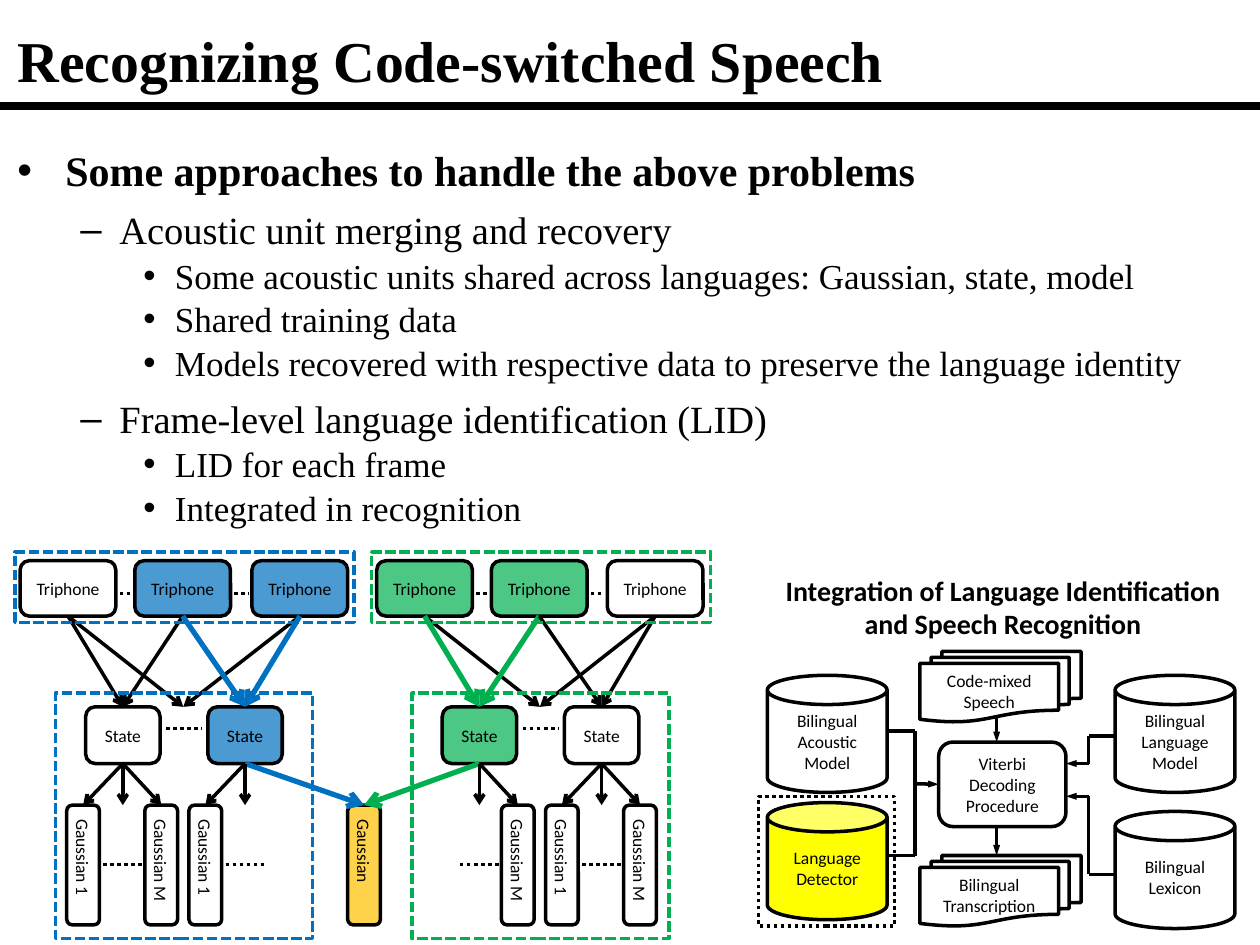
from lxml import etree
from pptx import Presentation
from pptx.dml.color import RGBColor
from pptx.enum.dml import MSO_LINE
from pptx.enum.shapes import MSO_CONNECTOR, MSO_SHAPE as Preset
from pptx.enum.text import MSO_ANCHOR as Anchor, PP_ALIGN as Align
from pptx.oxml.ns import qn
from pptx.util import Inches, Pt

BLACK, WHITE, YELLOW, AMBER = "000000", "FFFFFF", "FFFF00", "FFC000"
BLUE, GREEN = "0070C0", "00B050"
SERIF, SANS = "Times New Roman", "Calibri"
DOTS, DASHES = MSO_LINE.ROUND_DOT, MSO_LINE.SQUARE_DOT
TOP, LEFT, BOTTOM = 0, 1, 2
TRIPHONE_TOP, STATE_TOP, STATE_BOTTOM, GAUSSIAN_TOP = 4.45, 5.61, 6.05, 6.39

# Per level: left margin, hanging indent, bullet, size, line spacing
LEVELS = [
    (0.38, 0.38, "•", 24, 1.2),
    (0.81, 0.31, "–", 22, 1.2),
    (1.25, 0.25, "•", 20, 1.0),
]
OUTLINE = [
    (0, "Some approaches to handle the above problems"),
    (1, "Acoustic unit merging and recovery"),
    (2, "Some acoustic units shared across languages: Gaussian, state, model"),
    (2, "Shared training data"),
    (2, "Models recovered with respective data to preserve the language identity"),
    (1, "Frame-level language identification (LID)"),
    (2, "LID for each frame"),
    (2, "Integrated in recognition"),
]


def color(value):
    return RGBColor.from_string(value)


def style_font(font, name, size, bold=False):
    font.name, font.size, font.bold = name, Pt(size), bold
    font.color.rgb = color(BLACK)


def style_line(line, value, width, dash=None):
    line.color.rgb = color(value)
    line.width = Pt(width)
    if dash is not None:
        line.dash_style = dash


def set_margins(frame, margin):
    frame.margin_left = frame.margin_right = Inches(margin)
    frame.margin_top = frame.margin_bottom = Inches(margin)


def center_text(frame, text, size, bold=False):
    frame.text = text
    frame.word_wrap = True
    frame.vertical_anchor = Anchor.MIDDLE
    for paragraph in frame.paragraphs:
        paragraph.alignment = Align.CENTER
        for run in paragraph.runs:
            style_font(run.font, SANS, size, bold)


def add_box(slide, preset, box, text="", fill=None, alpha=None,
            line=BLACK, dash=None):
    shape = slide.shapes.add_shape(preset, *map(Inches, box))
    shape.shadow.inherit = False
    style_line(shape.line, line, 2, dash)
    if fill:
        shape.fill.solid()
        shape.fill.fore_color.rgb = color(fill)
    else:
        shape.fill.background()
    if fill and alpha:
        node = shape.fill._xPr.find(".//" + qn("a:srgbClr"))
        etree.SubElement(node, qn("a:alpha")).set("val", str(alpha * 1000))
    if text:
        set_margins(shape.text_frame, 0)
        center_text(shape.text_frame, text, 10)
    return shape


def add_line(slide, start, end, value=BLACK, width=2, dash=None, head=None,
             begin_at=None, end_at=None):
    """Draw a line; begin_at and end_at are (shape, side) pairs to join."""
    line = slide.shapes.add_connector(
        MSO_CONNECTOR.STRAIGHT, *map(Inches, (*start, *end)))
    style_line(line.line, value, width, dash)
    if head:
        tail = etree.SubElement(line.line._get_or_add_ln(), qn("a:tailEnd"))
        tail.set("type", head)
        tail.set("w", "sm" if head == "triangle" else "med")
    etree.SubElement(line._element.spPr, qn("a:effectLst"))
    if begin_at:
        line.begin_connect(*begin_at)
    if end_at:
        line.end_connect(*end_at)


def join(slide, upper, lower, value=BLACK, width=2):
    add_line(slide, (0, 0), (1, 1), value, width, head="arrow",
             begin_at=(upper, BOTTOM), end_at=(lower, TOP))


def add_title(slide):
    title = slide.shapes.title
    title.left, title.top, title.width, title.height = map(
        Inches, (0.04, 0.13, 9, 0.69))
    frame = title.text_frame
    frame.text = "Recognizing Code-switched Speech"
    frame.vertical_anchor = Anchor.MIDDLE
    paragraph = frame.paragraphs[0]
    paragraph.alignment = Align.LEFT
    style_font(paragraph.runs[0].font, SERIF, 33, True)
    add_line(slide, (0, 0.84), (10, 0.84), width=4.5)


def add_outline(slide):
    box = slide.shapes.add_textbox(*map(Inches, (0.04, 0.99, 9.84, 3.3)))
    frame = box.text_frame
    frame.word_wrap = True
    frame.margin_top = Inches(0.08)
    for index, (level, text) in enumerate(OUTLINE):
        paragraph = frame.add_paragraph() if index else frame.paragraphs[0]
        margin, hanging, bullet, size, spacing = LEVELS[level]
        paragraph.text = text
        paragraph.level = level
        paragraph.line_spacing = spacing
        paragraph.space_before = Pt(1 if index else 0)
        properties = paragraph._p.get_or_add_pPr()
        properties.set("marL", str(Inches(margin)))
        properties.set("indent", str(-Inches(hanging)))
        etree.SubElement(properties, qn("a:buFont")).set("typeface", "Arial")
        etree.SubElement(properties, qn("a:buChar")).set("char", bullet)
        style_font(paragraph.runs[0].font, SERIF, size, level == 0)


def add_gaussian(slide, left, text, fill=None):
    shape = add_box(slide, Preset.ROUNDED_RECTANGLE,
                    (left, GAUSSIAN_TOP, 0.26, 0.95), fill=fill, alpha=70)
    center_text(shape.text_frame, text, 10)
    shape.text_frame._txBody.bodyPr.set("vert", "eaVert")
    return shape


def add_language(slide, triphone_lefts, state_lefts, shared, value, gaussian):
    """Draw one language's units; shared is the index of its merged state."""
    def fill_if(condition):
        return value if condition else None

    # Units
    triphones = [
        add_box(slide, Preset.ROUNDED_RECTANGLE, (left, TRIPHONE_TOP, 0.76, 0.44),
                "Triphone", fill_if(index in (shared, shared + 1)), 70)
        for index, left in enumerate(triphone_lefts)]
    states = [
        add_box(slide, Preset.ROUNDED_RECTANGLE, (left, STATE_TOP, 0.59, 0.45),
                "State", fill_if(index == shared), 70)
        for index, left in enumerate(state_lefts)]

    # Dots between neighbours
    for left, following in zip(triphone_lefts, triphone_lefts[1:]):
        add_line(slide, (left + 0.79, 4.71), (following - 0.02, 4.71), dash=DOTS)
    gap = state_lefts[0] + 0.64
    add_line(slide, (gap, 5.78), (gap + 0.28, 5.78), dash=DOTS)

    # Triphones to the states between the two shown
    middle = sum(state_lefts) / 2 + 0.29
    for index in (0, 2):
        add_line(slide, (triphone_lefts[index] + 0.38, 4.88), (middle, STATE_TOP),
                 head="arrow", begin_at=(triphones[index], BOTTOM))

    for index, (state, left) in enumerate(zip(states, state_lefts)):
        # Triphones to this state
        style = (value, 3) if index == shared else (BLACK, 2)
        for triphone in triphones[index:index + 2]:
            join(slide, triphone, state, *style)

        # This state to its Gaussians; the merged state has only the outer-language one
        members = [(-0.15, "Gaussian 1"), (0.47, "Gaussian M")]
        if index == shared:
            members = [members[1 - shared]]
            join(slide, state, gaussian, value, 3)
        for offset, text in members:
            join(slide, state, add_gaussian(slide, left + offset, text))
        center = left + 0.295
        add_line(slide, (center, STATE_BOTTOM), (center, GAUSSIAN_TOP),
                 head="arrow", begin_at=(state, BOTTOM))
        add_line(slide, (left + 0.14, 6.86), (left + 0.45, 6.86), dash=DOTS)

    # Frames
    for box in ((triphone_lefts[0] - 0.04, 4.38, 2.69, 0.56),
                (state_lefts[0] - 0.24, 5.5, 2.04, 1.95)):
        add_box(slide, Preset.RECTANGLE, box, line=value, dash=DASHES)


def add_integration(slide):
    heading = slide.shapes.add_textbox(*map(Inches, (6.1, 4.54, 3.72, 0.55)))
    center_text(heading.text_frame, "Integration of Language Identification "
                "and Speech Recognition", 16, True)

    # Decoder, knowledge sources, input and output
    decoder = add_box(slide, Preset.ROUNDED_RECTANGLE, (7.45, 5.89, 1.01, 0.67),
                      "Viterbi\nDecoding\nProcedure", WHITE)
    for left, top, text, fill in (
            (8.85, 5.36, "Bilingual\nLanguage\nModel", WHITE),
            (8.85, 6.44, "Bilingual\nLexicon", WHITE),
            (6.09, 5.36, "Bilingual\nAcoustic\nModel", WHITE),
            (6.09, 6.37, "Language\nDetector", YELLOW)):
        add_box(slide, Preset.CAN, (left, top, 0.95, 0.93), text, fill)
    for top, text in ((5.17, "Code-mixed Speech"),
                      (6.79, "Bilingual\nTranscription")):
        add_box(slide, Preset.FLOWCHART_MULTIDOCUMENT, (7.3, top, 1.28, 0.56),
                text, WHITE)

    # Arrows at the decoder
    for start, end in (((7.91, 5.7), (7.91, 5.89)), ((7.91, 6.55), (7.91, 6.79)),
                       ((8.64, 6.06), (8.46, 6.06)), ((8.64, 6.32), (8.46, 6.32))):
        add_line(slide, start, end, head="triangle")
    add_line(slide, (7.26, 6.22), (7.45, 6.22), head="triangle",
             end_at=(decoder, LEFT))

    # Elbows from the sources
    for start, end in (((7.26, 5.8), (7.26, 6.79)), ((7.26, 5.8), (7.04, 5.8)),
                       ((7.26, 6.79), (7.04, 6.79)), ((8.85, 5.84), (8.64, 5.84)),
                       ((8.85, 6.94), (8.64, 6.94)), ((8.64, 5.84), (8.64, 6.06)),
                       ((8.64, 6.32), (8.64, 6.94))):
        add_line(slide, start, end)
    add_box(slide, Preset.RECTANGLE, (6.02, 6.32, 1.08, 1.03), dash=DOTS)


def main():
    presentation = Presentation()
    presentation.slide_width, presentation.slide_height = Inches(10), Inches(7.5)
    slide = presentation.slides.add_slide(presentation.slide_layouts[5])
    add_title(slide)
    add_outline(slide)
    gaussian = add_gaussian(slide, 2.76, "Gaussian", AMBER)
    add_language(slide, (0.16, 1.07, 2), (0.68, 1.65), 1, BLUE, gaussian)
    add_language(slide, (2.99, 3.9, 4.82), (3.51, 4.48), 0, GREEN, gaussian)
    add_integration(slide)
    presentation.save("out.pptx")


if __name__ == "__main__":
    main()
